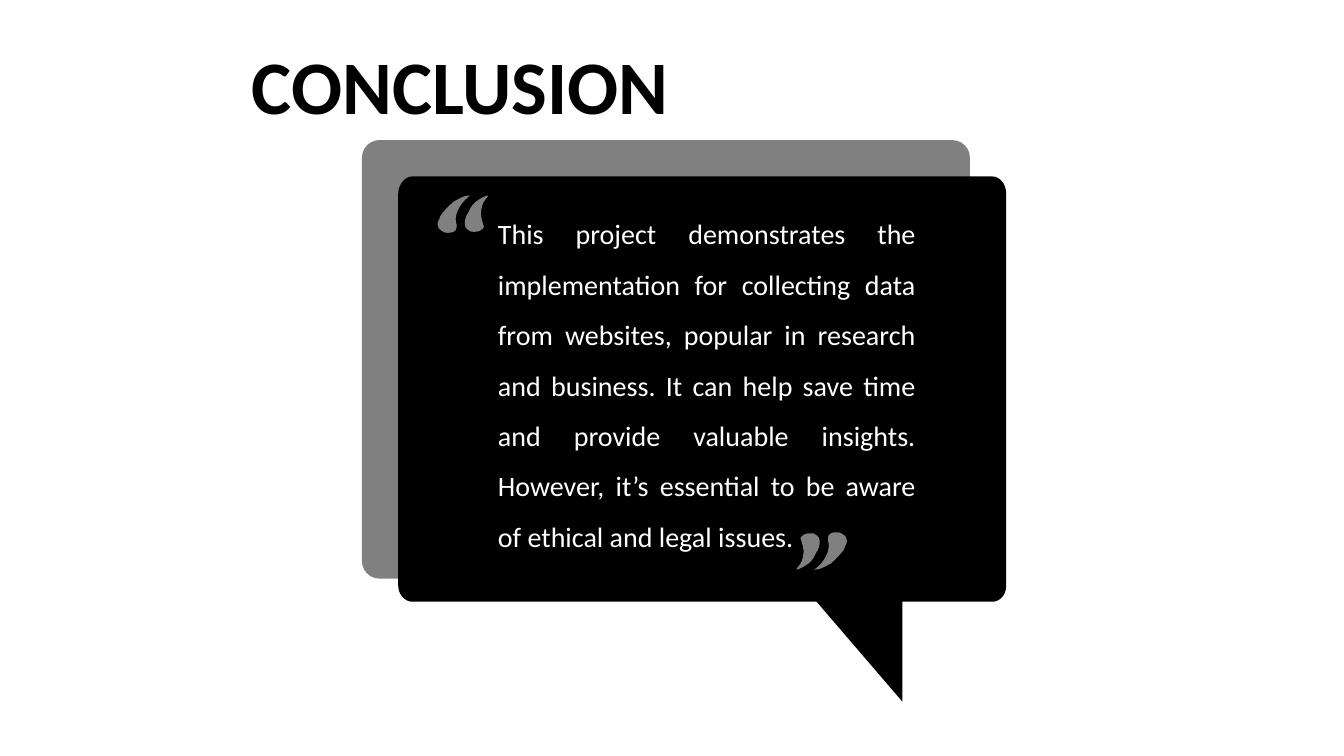
from itertools import islice

from pptx import Presentation
from pptx.dml.color import RGBColor
from pptx.enum.shapes import MSO_SHAPE as Preset
from pptx.enum.text import MSO_ANCHOR as Anchor, PP_ALIGN as Align
from pptx.oxml.ns import qn
from pptx.oxml.xmlchemy import OxmlElement
from pptx.util import Pt

BLACK = RGBColor(0, 0, 0)
GRAY = RGBColor(128, 128, 128)
WHITE = RGBColor(255, 255, 255)

QUOTE = (
    "This project demonstrates the implementation for collecting data from websites, "
    "popular in research and business. It can help save time and provide valuable insights. "
    "However, it’s essential to be aware of ethical and legal issues."
)

SPEECH_BUBBLE = [[
    [(409, 175)],
    [(984, 175)],
    [(992, 175), (998, 183), (998, 192)],
    [(998, 581)],
    [(998, 590), (992, 597), (984, 597)],
    [(895, 597)],
    [(895, 696)],
    [(810, 597)],
    [(409, 597)],
    [(402, 597), (395, 590), (395, 581)],
    [(395, 192)],
    [(395, 183), (402, 175), (409, 175)],
]]

QUOTE_MARK = [
    [
        [(50, 0)],
        [(50, 0), (50, 0), (50, 0)],
        [(50, 0), (50, 1), (49, 2)],
        [(47, 4), (45, 7), (44, 11)],
        [(43, 14), (43, 17), (43, 19)],
        [(43, 21), (44, 24), (45, 28)],
        [(45, 29), (46, 30), (46, 31)],
        [(46, 32), (45, 33), (42, 35)],
        [(40, 36), (38, 36), (36, 36)],
        [(34, 36), (32, 36), (30, 34)],
        [(28, 33), (27, 31), (27, 28)],
        [(27, 24), (28, 20), (31, 16)],
        [(33, 11), (36, 7), (41, 4)],
        [(46, 1), (49, 0), (50, 0)],
    ],
    [
        [(31, 0)],
        [(32, 0), (32, 0), (32, 0)],
        [(32, 0), (32, 1), (31, 1)],
        [(26, 5), (23, 9), (21, 13)],
        [(19, 17), (18, 20), (18, 23)],
        [(18, 25), (18, 27), (19, 29)],
        [(19, 30), (19, 31), (19, 31)],
        [(19, 33), (18, 35), (16, 36)],
        [(14, 37), (12, 37), (10, 37)],
        [(9, 37), (6, 37), (4, 35)],
        [(1, 33), (0, 31), (0, 28)],
        [(0, 26), (1, 25), (2, 23)],
        [(2, 21), (4, 18), (7, 15)],
        [(10, 11), (13, 9), (16, 6)],
        [(20, 4), (23, 2), (26, 1)],
        [(29, 0), (31, 0), (31, 0)],
    ],
]


class SlideBuilder:
    """Draws styled elements on one page, with lengths in hundredths of an inch."""

    px = 9144
    font = "Calibri"

    def __init__(self, deck):
        self.page = deck.slides.add_slide(deck.slide_layouts[6])

    def paint(self, shape, color):
        shape.shadow.inherit = False
        shape.fill.solid()
        shape.fill.fore_color.rgb = color
        shape.line.fill.background()

    def text(self, frame, words, size, color, spacing, align=Align.LEFT, bold=False):
        box = self.page.shapes.add_textbox(*(length * self.px for length in frame))
        body = box.text_frame
        body.word_wrap = True
        body.vertical_anchor = Anchor.MIDDLE
        body.text = words
        para = body.paragraphs[0]
        para.alignment = align
        para.line_spacing = spacing
        font = para.runs[0].font
        font.name, font.size, font.bold = self.font, Pt(size), bold
        font.color.rgb = color

    def rounded_panel(self, frame, color, rounding):
        panel = self.page.shapes.add_shape(
            Preset.ROUNDED_RECTANGLE, *(length * self.px for length in frame))
        panel.adjustments[0] = rounding
        self.paint(panel, color)

    def bend(self, shape, contours):
        lines = iter(list(shape._element.iter(qn("a:lnTo"))))
        for contour in contours:
            for segment in contour[1:]:
                group = list(islice(lines, len(segment)))
                if len(group) == 1:
                    continue
                curve = OxmlElement("a:cubicBezTo")
                group[0].addprevious(curve)
                for line in group:
                    curve.append(line[0])
                    line.getparent().remove(line)

    def outline(self, contours, color, left=0, top=0, rotation=0):
        builder = None
        for contour in contours:
            start, *rest = [((x + left) * self.px, (y + top) * self.px)
                            for segment in contour for x, y in segment]
            if builder is None:
                builder = self.page.shapes.build_freeform(*start)
            else:
                builder.move_to(*start)
            builder.add_line_segments(rest, close=True)
        shape = builder.convert_to_shape()
        self.bend(shape, contours)
        shape.rotation = rotation
        self.paint(shape, color)


def main():
    deck = Presentation()
    deck.slide_width = 1333 * SlideBuilder.px
    deck.slide_height = 750 * SlideBuilder.px
    slide = SlideBuilder(deck)
    slide.text((240, 20, 1010, 138), "CONCLUSION", 54, BLACK, 0.9, bold=True)
    slide.rounded_panel((359, 139, 603, 435), GRAY, 0.04)
    slide.outline(SPEECH_BUBBLE, BLACK)
    slide.text((484, 194, 434, 359), QUOTE, 20, WHITE, 1.5, Align.JUSTIFY)
    slide.outline(QUOTE_MARK, GRAY, 434, 194)
    slide.outline(QUOTE_MARK, GRAY, 790, 528, rotation=180)
    deck.save("out.pptx")


if __name__ == "__main__":
    main()
